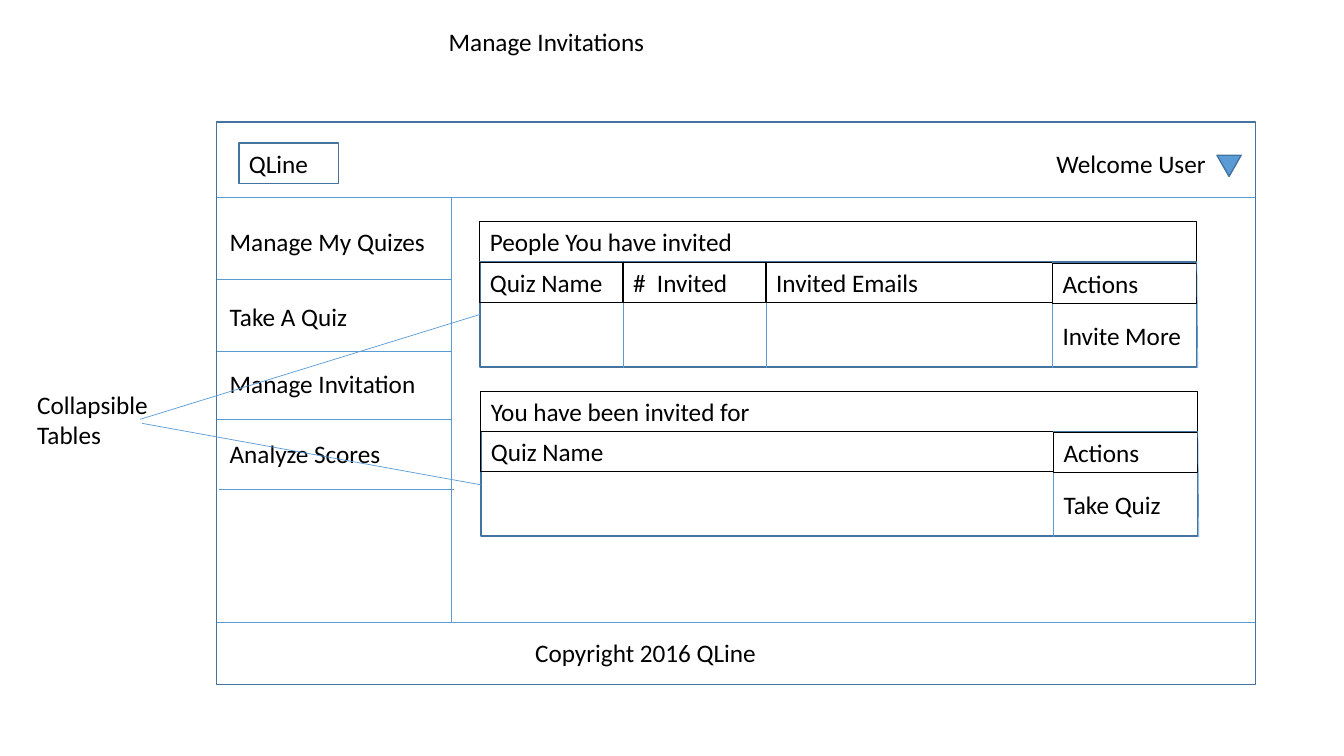
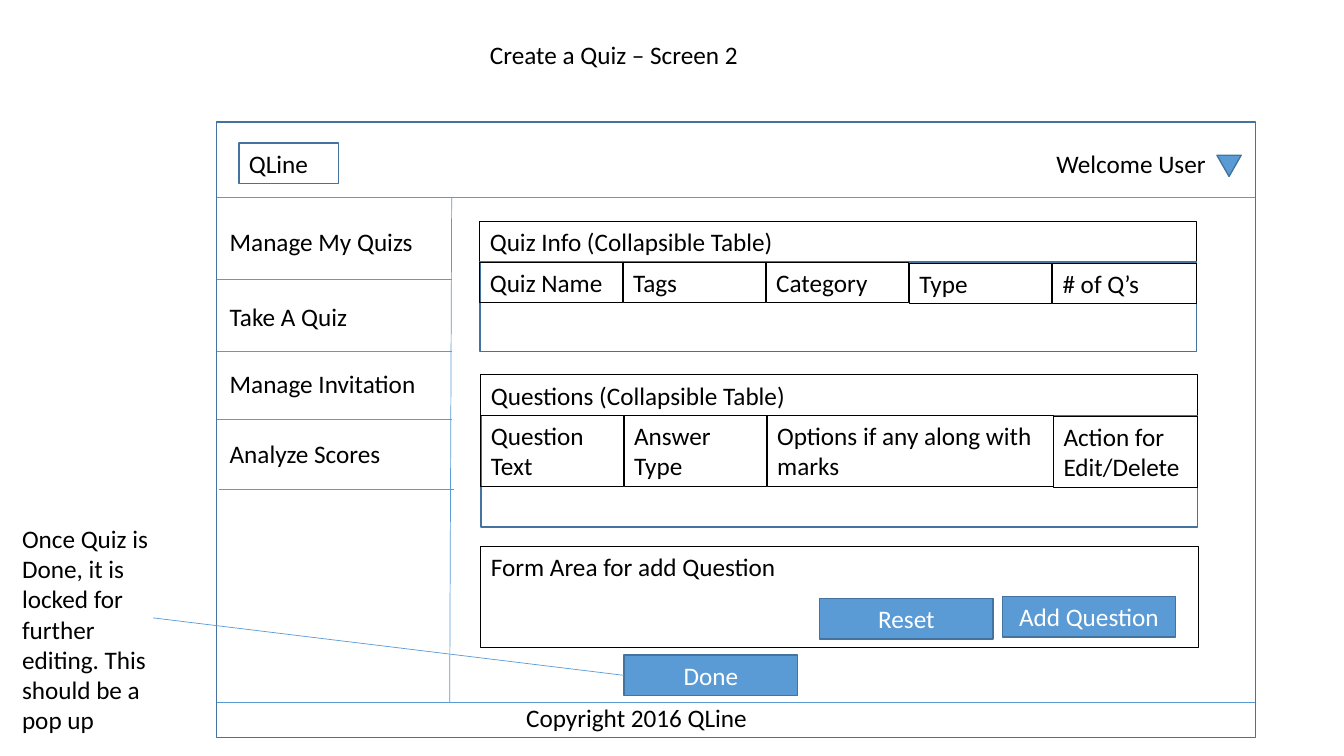
from dataclasses import dataclass

from lxml import etree
from pptx import Presentation
from pptx.dml.color import RGBColor
from pptx.enum.shapes import MSO_CONNECTOR, MSO_SHAPE
from pptx.enum.text import MSO_ANCHOR, MSO_AUTO_SIZE, PP_ALIGN
from pptx.oxml.ns import qn
from pptx.util import Inches, Pt

RECTANGLE = MSO_SHAPE.RECTANGLE
TRIANGLE = MSO_SHAPE.FLOWCHART_MERGE
STRAIGHT = MSO_CONNECTOR.STRAIGHT
TOP, MIDDLE = MSO_ANCHOR.TOP, MSO_ANCHOR.MIDDLE
LEFT, CENTER = PP_ALIGN.LEFT, PP_ALIGN.CENTER
GROW, FIXED = MSO_AUTO_SIZE.SHAPE_TO_FIT_TEXT, MSO_AUTO_SIZE.NONE
TITLE_ONLY = 5


@dataclass(frozen=True)
class Theme:
    font: str = "Calibri"
    size: float = 18
    ink: str = "000000"
    paper: str = "FFFFFF"
    accent: str = "5B9BD5"
    edge: str = "43739E"
    rule_width: float = 0.5
    cell_width: float = 0.75
    edge_width: float = 1


THEME = Theme()
ROW = 0.4           # height of one line of text with its margins
COLUMN = 1.42       # one of the five columns of a table
COLUMN_COUNT = 5
FRAME_LEFT, FRAME_TOP, FRAME_WIDTH = 2.15, 1.21, 10.3
HEADER_LINE = 1.96
SIDEBAR_RIGHT = 4.48
MENU_TOPS = (2.2, 2.94, 3.61, 4.3)
MENU_LINES = (2.77, 3.49, 4.16, 4.85)


# Basic elements
def apply(target, values):
    for name, value in values.items():
        setattr(target, name, value)


def write(shape, text, color=THEME.ink, align=LEFT, anchor=TOP, fit=GROW):
    frame = shape.text_frame
    apply(frame, {
        "word_wrap": True, "auto_size": fit, "vertical_anchor": anchor,
        "margin_left": Inches(0.1), "margin_right": Inches(0.1),
        "margin_top": Inches(0.05), "margin_bottom": Inches(0.05),
    })
    para = frame.paragraphs[0]
    para.alignment = align
    span = para.add_run()
    span.text = text
    apply(span.font, {"name": THEME.font, "size": Pt(THEME.size)})
    span.font.color.rgb = RGBColor.from_string(color)


def place(shape, bounds):
    names = ("left", "top", "width", "height")
    apply(shape, dict(zip(names, map(Inches, bounds))))


def add_title(page, text, left, top):
    title = page.shapes.title
    place(title, (left, top, 3.77, ROW))
    write(title, text)


def add_label(page, text, left, top, width, height=ROW):
    box = page.shapes.add_textbox(*map(Inches, (left, top, width, height)))
    write(box, text)


def add_box(page, bounds, kind=RECTANGLE, fill=None, line=THEME.edge,
            width=THEME.edge_width):
    box = page.shapes.add_shape(kind, *map(Inches, bounds))
    box.shadow.inherit = False
    if fill:
        box.fill.solid()
        box.fill.fore_color.rgb = RGBColor.from_string(fill)
    else:
        box.fill.background()
    box.line.color.rgb = RGBColor.from_string(line)
    box.line.width = Pt(width)
    return box


def add_cell(page, text, bounds, fit=GROW):
    box = add_box(page, bounds, line=THEME.ink, width=THEME.cell_width)
    write(box, text, fit=fit)


def add_button(page, text, left, top):
    box = add_box(page, (left, top, 1.72, ROW), fill=THEME.accent)
    write(box, text, THEME.paper, CENTER, MIDDLE, FIXED)


def add_rule(page, *ends):
    rule = page.shapes.add_connector(STRAIGHT, *map(Inches, ends))
    rule.line.color.rgb = RGBColor.from_string(THEME.accent)
    rule.line.width = Pt(THEME.rule_width)
    etree.SubElement(rule._element.spPr, qn("a:effectLst"))


# Site frame shared by both screens
def add_site_frame(page, menu, height, footer_line, footer_at, sidebar_foot):
    right = FRAME_LEFT + FRAME_WIDTH
    add_box(page, (FRAME_LEFT, FRAME_TOP, FRAME_WIDTH, height))
    for y in (HEADER_LINE, footer_line):
        add_rule(page, FRAME_LEFT, y, right, y)
    add_box(page, (2.37, 1.42, 0.99, ROW))
    add_label(page, "QLine", 2.37, 1.42, 1.2)
    add_label(page, "Welcome User", 10.38, 1.42, 1.97)
    add_box(page, (12.07, 1.54, 0.24, 0.21), TRIANGLE, THEME.accent)
    add_label(page, "Copyright 2016 QLine", *footer_at, 3.54)

    # Sidebar menu
    add_rule(page, SIDEBAR_RIGHT, HEADER_LINE, sidebar_foot, footer_line)
    for text, top, y in zip(menu, MENU_TOPS, MENU_LINES):
        add_label(page, text, 2.18, top, 2.3)
        shift = 0.02 if y == MENU_LINES[-1] else 0
        add_rule(page, FRAME_LEFT + shift, y, SIDEBAR_RIGHT + shift, y)


# Collapsible table: columns are (heading, number of columns spanned)
def add_collapsible(page, title, left, top, columns, body_height,
                    head_height=ROW, action=None):
    head_top = top + ROW
    add_cell(page, title, (left, top, 7.11, ROW))
    add_box(page, (left, head_top, 7.11, body_height))
    start = 0
    for heading, span in columns:
        x = left + start * COLUMN
        if action and start:
            add_rule(page, x, head_top, x, head_top + 1.05)
        last = start + span == COLUMN_COUNT
        gap = -0.01 if last else 0.01 if span == 1 else 0
        drop = 0.01 if start >= 3 else 0
        add_cell(page, heading,
                 (x, head_top + drop, span * COLUMN - gap, head_height))
        start += span
    if action:
        edge = left + 7.11
        add_rule(page, edge, head_top, edge + 0.01, head_top + 1.05)
        add_label(page, action, left + 4 * COLUMN, head_top + 0.53, 1.41)


# Slides
def build_invitations(page):
    add_title(page, "Manage Invitations", 4.35, 0.21)
    menu = ("Manage My Quizes", "Take A Quiz", "Manage Invitation",
            "Analyze Scores")
    add_site_frame(page, menu, 5.58, 6.17, (5.21, 6.27), SIDEBAR_RIGHT)
    add_collapsible(
        page, "People You have invited", 4.76, 2.2,
        (("Quiz Name", 1), ("#  Invited", 1), ("Invited Emails", 2),
         ("Actions", 1)),
        1.04, action="Invite More")
    add_collapsible(
        page, "You have been invited for", 4.77, 3.88,
        (("Quiz Name", 4), ("Actions", 1)), 1.04, action="Take Quiz")

    # Callout to both tables
    add_rule(page, 4.76, 3.12, 1.39, 4.16)
    add_rule(page, 4.77, 4.81, 1.41, 4.2)
    add_label(page, "Collapsible Tables", 0.27, 3.81, 1.41, 0.71)


def build_create_quiz(page):
    add_title(page, "Create a Quiz – Screen 2", 4.76, 0.34)
    menu = ("Manage My Quizs", "Take A Quiz", "Manage Invitation",
            "Analyze Scores")
    add_site_frame(page, menu, 6.11, 6.97, (5.12, 6.92), 4.46)
    add_collapsible(
        page, "Quiz Info (Collapsible Table)", 4.76, 2.2,
        (("Quiz Name", 1), ("Tags", 1), ("Category", 1), ("Type", 1),
         ("# of Q’s", 1)),
        0.89)
    add_collapsible(
        page, "Questions (Collapsible Table)", 4.77, 3.72,
        (("Question Text", 1), ("Answer Type", 1),
         ("Options if any along with marks", 2),
         ("Action for Edit/Delete", 1)),
        1.11, head_height=0.71)

    # Question form
    add_cell(page, "Form Area for add Question", (4.77, 5.42, 7.12, 1), FIXED)
    add_button(page, "Add Question", 9.94, 5.92)
    add_button(page, "Reset", 8.13, 5.94)
    add_button(page, "Done", 6.19, 6.5)

    # Callout to the Done button
    add_rule(page, 6.19, 6.7, 1.52, 6.13)
    add_label(page, "Once Quiz is Done, it is locked for further editing. "
              "This should be a pop up", 0.12, 5.14, 1.52, 2.22)


def main():
    deck = Presentation()
    deck.slide_width, deck.slide_height = Inches(13.33), Inches(7.5)
    for build in (build_invitations, build_create_quiz):
        build(deck.slides.add_slide(deck.slide_layouts[TITLE_ONLY]))
    deck.save("out.pptx")


main()
